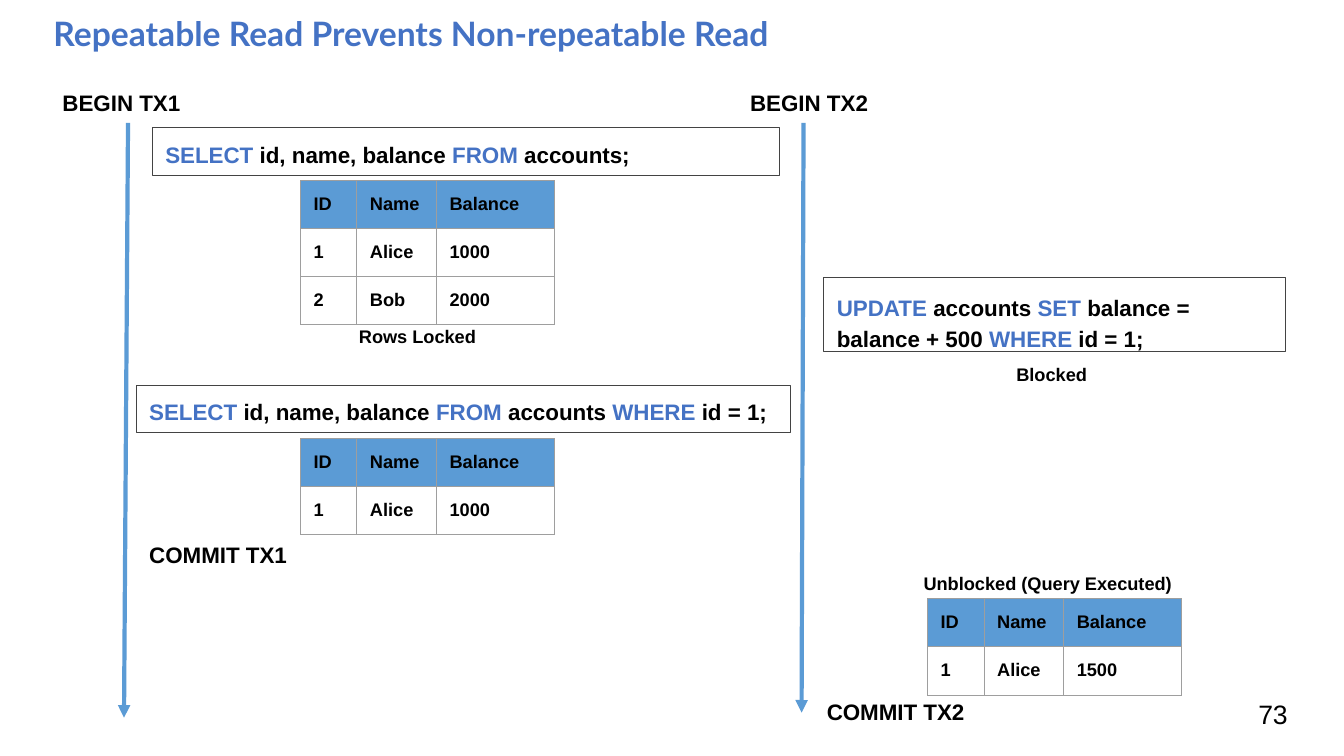
from itertools import groupby

from lxml import etree
from pptx import Presentation
from pptx.dml.color import RGBColor
from pptx.enum.shapes import MSO_CONNECTOR, MSO_SHAPE
from pptx.enum.text import MSO_ANCHOR
from pptx.oxml import parse_xml
from pptx.oxml.ns import nsdecls, qn
from pptx.util import Inches, Pt

STRAIGHT = MSO_CONNECTOR.STRAIGHT
RECTANGLE = MSO_SHAPE.RECTANGLE
TOP = MSO_ANCHOR.TOP
MIDDLE = MSO_ANCHOR.MIDDLE

COLORS = {
    "accent": "4472C4",
    "header": "5B9BD5",
    "box": "434343",
    "grid": "9E9E9E",
    "text": "000000",
}
KEYWORDS = {"SELECT", "FROM", "WHERE", "UPDATE", "SET"}
INSET = 0.13
COLUMN_WIDTHS = [0.56, 0.79, 1.17]
ROW_HEIGHT = 0.47
TABLE_HEADER = ["ID", "Name", "Balance"]


def color(name):
    return RGBColor.from_string(COLORS[name])


def split_sql(statement):
    """Return (text, color name) pieces, with SQL keywords in the accent color."""
    words = statement.replace(" ", " \n").split("\n")
    groups = groupby(words, key=lambda word: word.strip() in KEYWORDS)
    return [("".join(group), "accent" if keyword else "text") for keyword, group in groups]


def write_text(frame, pieces, size=16, font="Arial", bold=True, spacing=None):
    paragraph = frame.paragraphs[0]
    if spacing:
        paragraph.line_spacing = spacing
    for text, color_name in pieces:
        run = paragraph.add_run()
        run.text = text
        run.font.name = font
        run.font.size = Pt(size)
        run.font.bold = bold
        run.font.color.rgb = color(color_name)


def set_margins(target, right=INSET):
    """Set the insets of a text frame or a table cell."""
    target.margin_left = target.margin_top = target.margin_bottom = Inches(INSET)
    target.margin_right = Inches(right)


def add_cell_borders(cell):
    properties = cell._tc.get_or_add_tcPr()
    for index, side in enumerate(("lnL", "lnR", "lnT", "lnB")):
        border = parse_xml(
            f'<a:{side} {nsdecls("a")} w="{Pt(0.75)}"><a:solidFill>'
            f'<a:srgbClr val="{COLORS["grid"]}"/></a:solidFill></a:{side}>'
        )
        properties.insert(index, border)


class TransactionSlide:
    def __init__(self, presentation):
        self.slide = presentation.slides.add_slide(presentation.slide_layouts[6])

    def label(self, text, left, top, width, height=0.47, anchor=TOP,
              color_name="text", **text_format):
        box = self.slide.shapes.add_textbox(
            Inches(left), Inches(top), Inches(width), Inches(height))
        frame = box.text_frame
        frame.word_wrap = True
        frame.vertical_anchor = anchor
        set_margins(frame)
        write_text(frame, [(text, color_name)], **text_format)

    def statement(self, sql, left, top, width, height=0.47, right=INSET, **text_format):
        """Add an outlined box with one SQL statement."""
        shape = self.slide.shapes.add_shape(
            RECTANGLE, Inches(left), Inches(top), Inches(width), Inches(height))
        shape.shadow.inherit = False
        shape.fill.background()
        shape.line.color.rgb = color("box")
        shape.line.width = Pt(0.75)
        frame = shape.text_frame
        frame.word_wrap = True
        frame.vertical_anchor = TOP
        set_margins(frame, right)
        frame.paragraphs[0].alignment = 1
        write_text(frame, split_sql(sql), **text_format)

    def timeline(self, start, end):
        points = [Inches(value) for value in (*start, *end)]
        connector = self.slide.shapes.add_connector(STRAIGHT, *points)
        connector.line.color.rgb = color("header")
        connector.line.width = Pt(3)
        line = connector.line._get_or_add_ln()
        etree.SubElement(line, qn("a:tailEnd"), type="triangle")
        etree.SubElement(connector._element.spPr, qn("a:effectLst"))

    def accounts(self, left, top, *records):
        """Add a result table with the given account records."""
        rows = [TABLE_HEADER, *records]
        table = self.slide.shapes.add_table(
            len(rows), len(TABLE_HEADER), Inches(left), Inches(top),
            Inches(sum(COLUMN_WIDTHS)), Inches(ROW_HEIGHT * len(rows))).table
        table.first_row = table.horz_banding = False
        for column, width in zip(table.columns, COLUMN_WIDTHS):
            column.width = Inches(width)
        for row_index, values in enumerate(rows):
            for column_index, value in enumerate(values):
                cell = table.cell(row_index, column_index)
                set_margins(cell)
                if row_index == 0:
                    cell.fill.solid()
                    cell.fill.fore_color.rgb = color("header")
                else:
                    cell.fill.background()
                add_cell_borders(cell)
                write_text(cell.text_frame, [(value, "text")], size=13)


def main():
    presentation = Presentation()
    presentation.slide_width = Inches(13.33)
    presentation.slide_height = Inches(7.5)
    slide = TransactionSlide(presentation)

    slide.label("Repeatable Read Prevents Non-repeatable Read", 0.4, 0, 9.12, 0.74,
                color_name="accent", size=24, font="Lato")
    slide.label("73", 12.35, 6.8, 0.8, 0.57, anchor=MIDDLE, size=19, bold=False)

    slide.timeline((1.27, 1.22), (1.23, 7.12))
    slide.label("BEGIN TX1", 0.49, 0.75, 1.63)
    slide.statement("SELECT id, name, balance FROM accounts;", 1.51, 1.27, 6.22)
    slide.accounts(2.98, 1.79, ["1", "Alice", "1000"], ["2", "Bob", "2000"])
    slide.label("Rows Locked", 3.43, 3.12, 1.63, 0.41, size=13)
    slide.statement("SELECT id, name, balance FROM accounts WHERE id = 1;", 1.35, 3.82, 6.49)
    slide.accounts(2.98, 4.35, ["1", "Alice", "1000"])
    slide.label("COMMIT TX1", 1.35, 5.24, 2.09)

    slide.timeline((7.97, 1.22), (7.95, 7.07))
    slide.label("BEGIN TX2", 7.31, 0.75, 1.63)
    slide.statement("UPDATE accounts SET balance = balance + 500 WHERE id = 1;",
                    8.17, 2.75, 4.58, 0.74, right=0.18, spacing=1.15)
    slide.label("Blocked", 9.95, 3.49, 1.01, 0.41, size=13)
    slide.label("Unblocked (Query Executed)", 9.03, 5.57, 2.85, size=13)
    slide.accounts(9.2, 5.94, ["1", "Alice", "1500"])
    slide.label("COMMIT TX2", 8.07, 6.8, 2.09)

    presentation.save("out.pptx")


if __name__ == "__main__":
    main()
